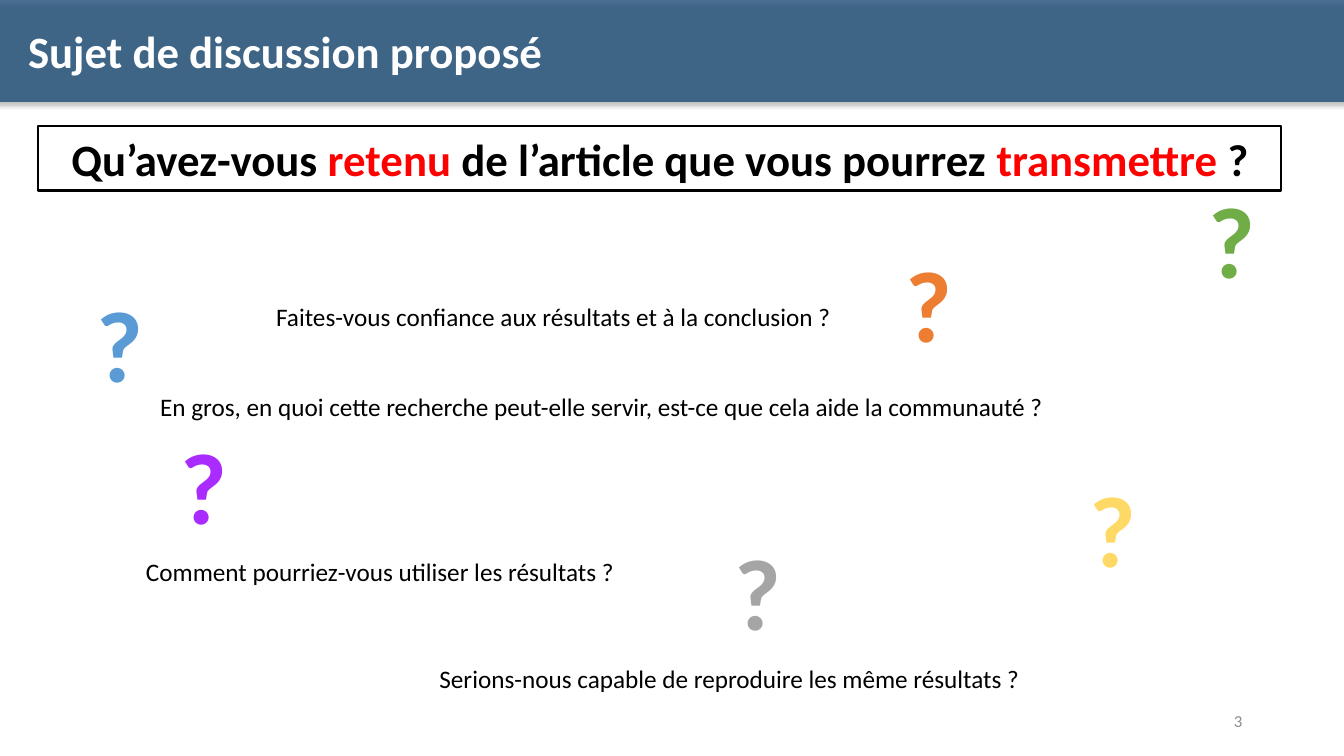
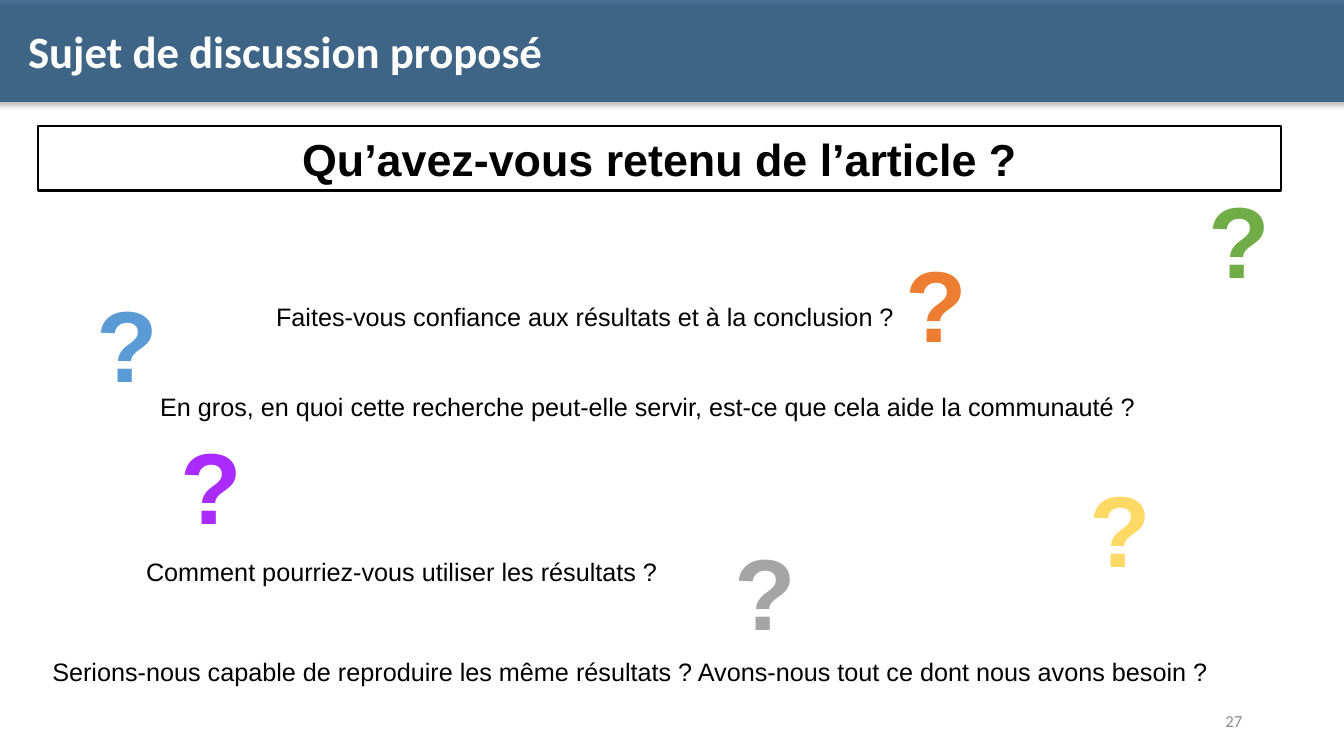
from lxml.etree import SubElement
from pptx import Presentation
from pptx.dml.color import RGBColor
from pptx.enum.shapes import MSO_SHAPE
from pptx.enum.text import MSO_ANCHOR, MSO_AUTO_SIZE, PP_ALIGN
from pptx.oxml.ns import qn
from pptx.util import Pt

PX = 9144  # EMU per px, 100 px to the inch

NAVY = RGBColor(0x1F, 0x4E, 0x79)
WHITE = RGBColor(0xFF, 0xFF, 0xFF)
BLACK = RGBColor(0, 0, 0)
RED = RGBColor(0xFF, 0, 0)
GREY = RGBColor(0x8C, 0x8C, 0x8C)
BLUE = RGBColor(0x5B, 0x9B, 0xD5)
YELLOW = RGBColor(0xFF, 0xD9, 0x66)
ORANGE = RGBColor(0xED, 0x7D, 0x31)
PURPLE = RGBColor(0xA9, 0x2B, 0xFD)
GREEN = RGBColor(0x70, 0xAD, 0x47)
SILVER = RGBColor(0xA5, 0xA5, 0xA5)

TITLE = "Sujet de discussion proposé"
USE = "Comment pourriez-vous utiliser les résultats ?"
TRUST = "Faites-vous confiance aux résultats et à la conclusion ?"
BENEFIT = ("En gros, en quoi cette recherche peut-elle servir, "
           "est-ce que cela aide la communauté ?")
REPRODUCE = "Serions-nous capable de reproduire les même résultats ?"

# left, top, colour
QUESTION_MARKS = [
    (86, 275, BLUE),
    (1071, 458, YELLOW),
    (888, 235, ORANGE),
    (169, 415, PURPLE),
    (1189, 171, GREEN),
    (719, 521, SILVER),
]

# headline: (text, colour); questions: text, left, top, width, wrap
SLIDES = [
    {
        "number": "3",
        "font": "Calibri",
        "mark_width": 67,
        "headline": [
            ("Qu’avez-vous ", BLACK),
            ("retenu ", RED),
            ("de l’article que vous pourrez ", BLACK),
            ("transmettre", RED),
            (" ?", BLACK),
        ],
        "questions": [
            (USE, 135, 547, 490, False),
            (TRUST, 264, 294, 582, False),
            (BENEFIT, 149, 383, 1004, True),
            (REPRODUCE, 426, 653, 602, False),
        ],
    },
    {
        "number": "27",
        "font": "Arial",
        "mark_width": 82,
        "headline": [("Qu’avez-vous retenu de l’article ?", BLACK)],
        "questions": [
            (USE, 135, 547, 532, False),
            (TRUST, 264, 294, 646, False),
            (BENEFIT, 149, 383, 1004, True),
            (REPRODUCE + " Avons-nous tout ce dont nous avons besoin ?",
             42, 646, 1219, False),
        ],
    },
]


def px(*lengths):
    return [length * PX for length in lengths]


def style(paragraph, font, size, bold=False):
    paragraph.font.name = font
    paragraph.font.size = Pt(size)
    paragraph.font.bold = bold


def add_text(slide, box, text, font, size, color, bold=False, wrap=True):
    frame = slide.shapes.add_textbox(*px(*box)).text_frame
    frame.word_wrap = wrap
    frame.auto_size = MSO_AUTO_SIZE.SHAPE_TO_FIT_TEXT
    paragraph = frame.paragraphs[0]
    paragraph.text = text
    style(paragraph, font, size, bold)
    paragraph.font.color.rgb = color
    return frame


def add_band(slide):
    """Translucent title band with a soft shadow below it."""
    band = slide.shapes.add_shape(MSO_SHAPE.ROUNDED_RECTANGLE,
                                  *px(-18, 0, 1370, 101))
    band.fill.solid()
    band.fill.fore_color.rgb = NAVY
    band.line.fill.background()
    fill_color = band.fill._xPr.find(qn("a:solidFill"))[0]
    SubElement(fill_color, qn("a:alpha"), val="80000")

    band.shadow.inherit = False
    effects = band._element.spPr.find(qn("a:effectLst"))
    shadow = SubElement(effects, qn("a:outerShdw"), blurRad=str(Pt(3.5)),
                        dist=str(Pt(2.2)), dir="5400000", rotWithShape="0")
    shadow_color = SubElement(shadow, qn("a:srgbClr"), val=str(BLACK))
    SubElement(shadow_color, qn("a:alpha"), val="32000")


def add_frame(slide, number):
    """Band, title and slide number, the same on every slide."""
    add_band(slide)
    title = add_text(slide, (18, 23, 1316, 59), TITLE, "Calibri", 32, WHITE,
                     bold=True)
    title.paragraphs[0].line_spacing = Pt(35)
    footer = add_text(slide, (942, 695, 300, 40), number, "Calibri", 12, GREY)
    footer.auto_size = MSO_AUTO_SIZE.NONE
    footer.vertical_anchor = MSO_ANCHOR.MIDDLE
    footer.paragraphs[0].alignment = PP_ALIGN.RIGHT


def add_headline(slide, parts, font):
    headline = slide.shapes.add_shape(MSO_SHAPE.RECTANGLE,
                                      *px(38, 125, 1233, 64))
    headline.shadow.inherit = False
    headline.fill.background()
    headline.line.color.rgb = BLACK
    headline.line.width = Pt(1.5)
    headline.text_frame.word_wrap = True
    paragraph = headline.text_frame.paragraphs[0]
    paragraph.alignment = PP_ALIGN.CENTER
    style(paragraph, font, 32, bold=True)
    for text, color in parts:
        run = paragraph.add_run()
        run.text = text
        run.font.color.rgb = color


def main():
    deck = Presentation()
    deck.slide_width, deck.slide_height = px(1333, 750)
    for content in SLIDES:
        slide = deck.slides.add_slide(deck.slide_layouts[6])
        font = content["font"]
        add_frame(slide, content["number"])
        add_headline(slide, content["headline"], font)
        for text, left, top, width, wrap in content["questions"]:
            add_text(slide, (left, top, width, 40), text, font, 18, BLACK,
                     wrap=wrap)
        for left, top, color in QUESTION_MARKS:
            add_text(slide, (left, top, content["mark_width"], 131), "?",
                     font, 72, color, bold=True, wrap=False)
    deck.save("out.pptx")


if __name__ == "__main__":
    main()
